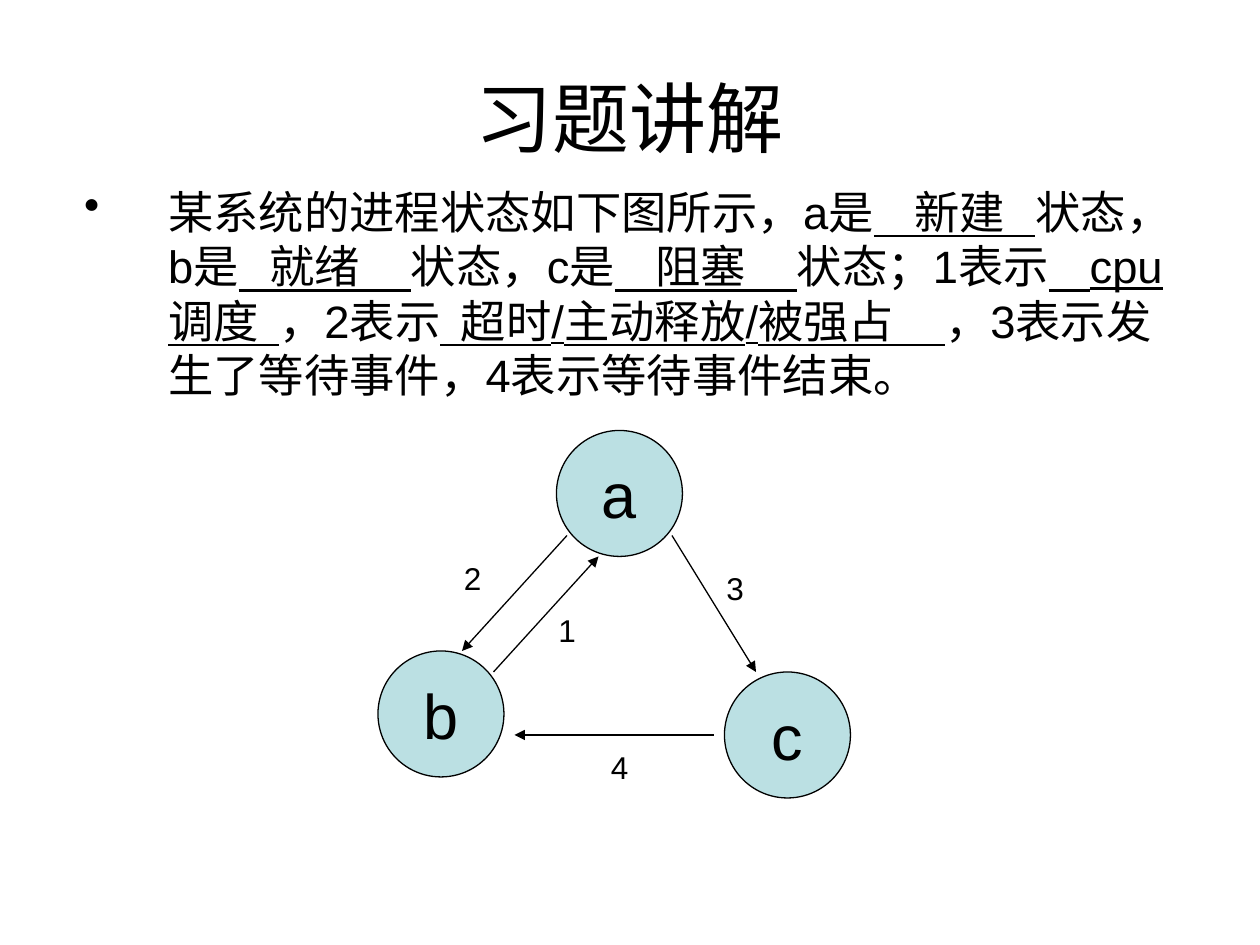
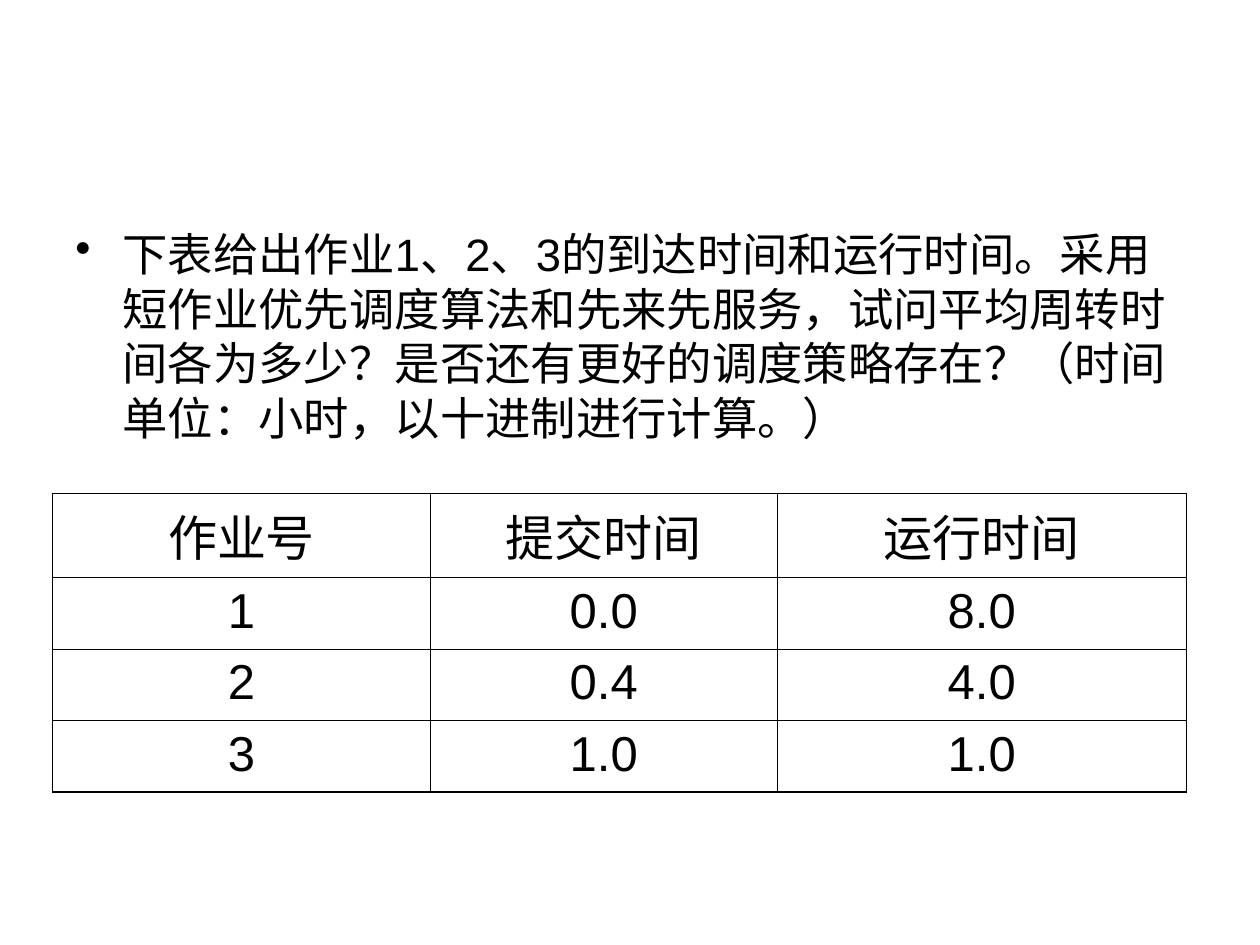
from dataclasses import dataclass

from lxml import etree
from pptx import Presentation
from pptx import util as u
from pptx.dml import color
from pptx.enum import shapes, text
from pptx.oxml import ns

Pt = u.Pt
COLORS = {"ink": "000000", "node": "BBE0E3"}
FONT = "Arial"
BODY_SIZE = 25.9
NODE_SIZE = 72
LABEL_SIZE = 24


@dataclass
class Node:
    name: str
    left: float
    top: float


@dataclass
class Transition:
    label: str
    start: tuple[float, float]
    end: tuple[float, float]
    label_at: tuple[float, float]


# Underlined answers sit at the odd positions
EXERCISE = [
    "某系统的进程状态如下图所示，a是", "    新建   ",
    "状态，b是", "   就绪     ",
    "状态，c是", "    阻塞     ",
    "状态；1表示", "    cpu调度  ",
    "，2表示", "  超时/主动释放/被强占     ",
    "，3表示发生了等待事件，4表示等待事件结束。",
]
QUESTION = ("下表给出作业1、2、3的到达时间和运行时间。采用短作业优先调度算法和先来先服务，"
            "试问平均周转时间各为多少？是否还有更好的调度策略存在？"
            "（时间单位：小时，以十进制进行计算。）")
NODES = [Node("c", 414, 384), Node("b", 216, 372), Node("a", 318, 246)]
TRANSITIONS = [
    Transition("1", (282, 384), (342, 318), (312, 348)),
    Transition("2", (324, 306), (264, 372), (258, 318)),
    Transition("3", (384, 306), (432, 384), (408, 324)),
    Transition("4", (408, 420), (294, 420), (342, 426)),
]
JOBS = [
    ("作业号", "提交时间", "运行时间"),
    ("1", "0.0", "8.0"),
    ("2", "0.4", "4.0"),
    ("3", "1.0", "1.0"),
]
COLUMN_WIDTHS = [216, 198, 234]
HEADER_HEIGHT, ROW_HEIGHT = 48, 40.7
OUTER_LINE, INNER_LINE = 1.08, 0.45


def rgb(name: str) -> color.RGBColor:
    return color.RGBColor.from_string(COLORS[name])


def format_span(span, size: float) -> None:
    span.font.name = FONT
    span.font.size = Pt(size)
    span.font.color.rgb = rgb("ink")


def write_centred(frame, words: str, size: float) -> None:
    frame.text = words
    para = frame.paragraphs[0]
    para.alignment = text.PP_ALIGN.CENTER
    format_span(para.runs[0], size)


def add_box(slide, left: float, top: float, width: float, height: float):
    return slide.shapes.add_textbox(Pt(left), Pt(top), Pt(width), Pt(height))


def add_title(slide, words: str) -> None:
    frame = add_box(slide, 36, 21.6, 648, 90).text_frame
    frame.word_wrap = True
    frame.vertical_anchor = text.MSO_ANCHOR.MIDDLE
    write_centred(frame, words, 44)


def add_bullet(slide, parts: list[str], left: float, top: float,
               width: float, height: float, indent: float) -> None:
    frame = add_box(slide, left, top, width, height).text_frame
    frame.word_wrap = True
    para = frame.paragraphs[0]
    props = para._p.get_or_add_pPr()
    props.set("marL", str(Pt(indent)))
    props.set("indent", str(-Pt(indent)))
    props.set("hangingPunct", "0")
    etree.SubElement(props, ns.qn("a:buChar")).set("char", "•")
    for index, words in enumerate(parts):
        span = para.add_run()
        span.text = words
        format_span(span, BODY_SIZE)
        span.font.underline = index % 2 == 1


def add_node(slide, node: Node) -> None:
    circle = slide.shapes.add_shape(shapes.MSO_SHAPE.OVAL, Pt(node.left), Pt(node.top),
                                    Pt(NODE_SIZE), Pt(NODE_SIZE))
    circle.shadow.inherit = False
    circle.fill.solid()
    circle.fill.fore_color.rgb = rgb("node")
    circle.line.color.rgb = rgb("ink")
    circle.line.width = Pt(0.75)
    circle.text_frame.word_wrap = False
    circle.text_frame.vertical_anchor = text.MSO_ANCHOR.MIDDLE
    write_centred(circle.text_frame, node.name, 36)


def add_transition(slide, move: Transition) -> None:
    arrow = slide.shapes.add_connector(shapes.MSO_CONNECTOR.STRAIGHT,
                                       *map(Pt, move.start + move.end))
    arrow.line.color.rgb = rgb("ink")
    arrow.line.width = Pt(0.75)
    etree.SubElement(arrow.line._get_or_add_ln(), ns.qn("a:tailEnd")).set("type", "triangle")
    etree.SubElement(arrow._element.spPr, ns.qn("a:effectLst"))

    frame = add_box(slide, *move.label_at, LABEL_SIZE, LABEL_SIZE).text_frame
    frame.word_wrap = False
    frame.vertical_anchor = text.MSO_ANCHOR.MIDDLE
    write_centred(frame, move.label, 18)


def set_border(cell, side: str, width: float) -> None:
    line = etree.SubElement(cell._tc.get_or_add_tcPr(), ns.qn(f"a:ln{side}"))
    line.set("w", str(Pt(width)))
    fill = etree.SubElement(line, ns.qn("a:solidFill"))
    etree.SubElement(fill, ns.qn("a:srgbClr")).set("val", COLORS["ink"])


def add_job_table(slide, left: float, top: float) -> None:
    heights = [HEADER_HEIGHT] + [ROW_HEIGHT] * (len(JOBS) - 1)
    table = slide.shapes.add_table(len(JOBS), len(COLUMN_WIDTHS), Pt(left), Pt(top),
                                   Pt(sum(COLUMN_WIDTHS)), Pt(sum(heights))).table
    table.first_row = table.horz_banding = False
    for column, width in zip(table.columns, COLUMN_WIDTHS):
        column.width = Pt(width)
    last_row, last_column = len(JOBS) - 1, len(COLUMN_WIDTHS) - 1
    for r, job in enumerate(JOBS):
        table.rows[r].height = Pt(heights[r])
        for c, value in enumerate(job):
            cell = table.cell(r, c)
            write_centred(cell.text_frame, value, 28)
            outer = {"L": c == 0, "R": c == last_column, "T": r == 0, "B": r == last_row}
            for side, is_outer in outer.items():
                set_border(cell, side, OUTER_LINE if is_outer else INNER_LINE)
            cell.fill.background()


def main() -> None:
    deck = Presentation()
    deck.slide_width, deck.slide_height = Pt(720), Pt(540)
    blank = deck.slide_layouts[6]

    # Process states
    states = deck.slides.add_slide(blank)
    add_title(states, "习题讲解")
    add_bullet(states, EXERCISE, 41, 101.5, 646, 168, indent=48)
    for node in NODES:
        add_node(states, node)
    for move in TRANSITIONS:
        add_transition(states, move)

    # Job scheduling
    scheduling = deck.slides.add_slide(blank)
    add_bullet(scheduling, [QUESTION], 36, 126, 654, 144, indent=27)
    add_job_table(scheduling, 30, 282)

    deck.save("out.pptx")


if __name__ == "__main__":
    main()
